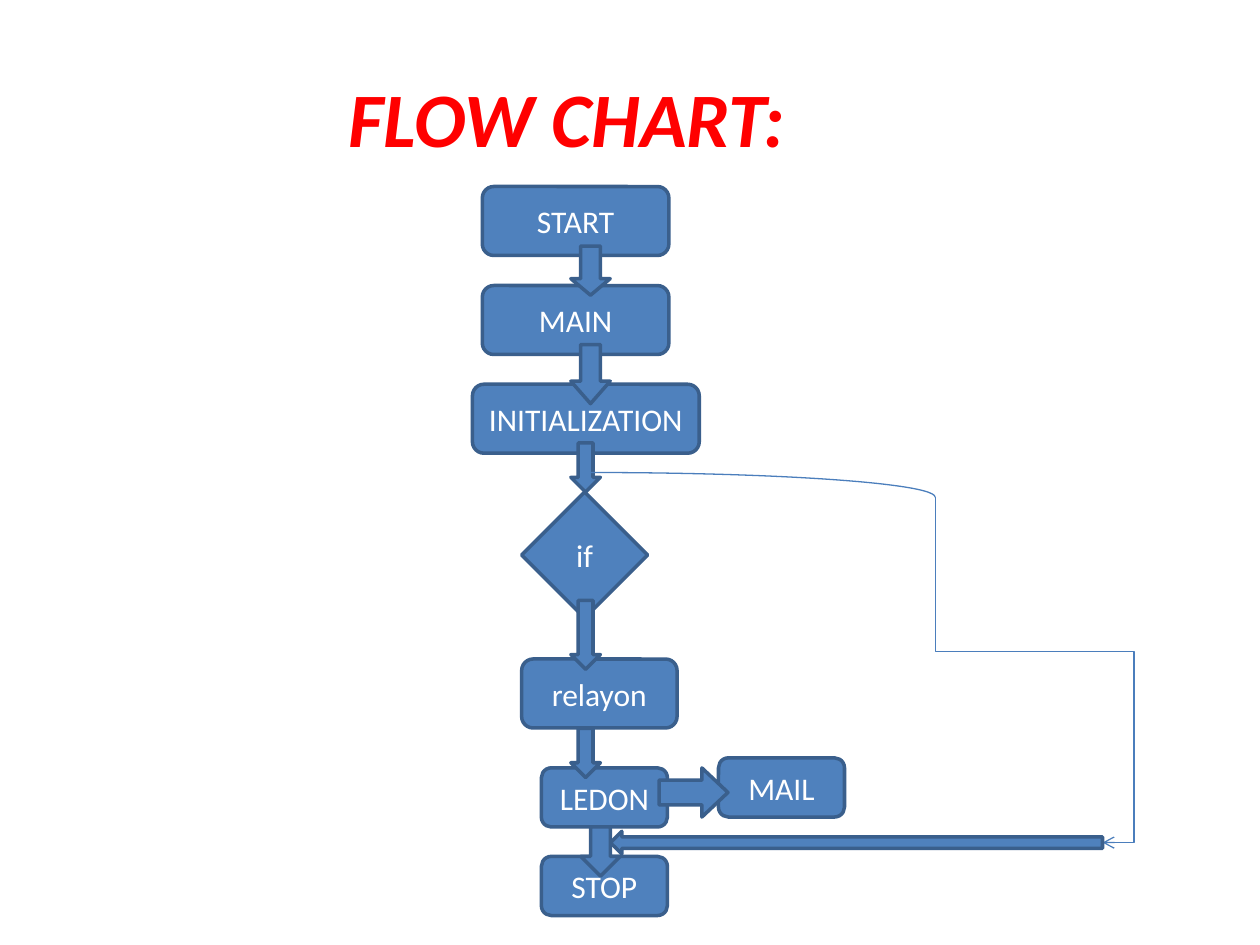
from pptx import Presentation
from pptx.dml.color import RGBColor
from pptx.enum.shapes import MSO_CONNECTOR, MSO_SHAPE as Shape
from pptx.enum.text import MSO_ANCHOR, PP_ALIGN
from pptx.oxml.ns import qn
from pptx.util import Pt
from lxml.etree import SubElement

FONT = "Calibri"
BLUE, EDGE, THIN = "4F81BD", "3A5F8C", "4B7EBC"
WHITE, RED = "FFFFFF", "FF0000"

# text, outline, left, top, width, height
STEPS = [
    ("START", Shape.ROUNDED_RECTANGLE, 275.6, 106.6, 106.6, 39.4),
    ("MAIN", Shape.ROUNDED_RECTANGLE, 275.6, 163.2, 106.6, 39.4),
    ("INITIALIZATION", Shape.ROUNDED_RECTANGLE, 270, 219.6, 129.6, 39.4),
    ("relayon", Shape.ROUNDED_RECTANGLE, 298.1, 376.6, 88.8, 39.4),
    ("if", Shape.DIAMOND, 298.1, 281.2, 72, 72),
    ("LEDON", Shape.ROUNDED_RECTANGLE, 309.4, 438.8, 72, 33.8),
    ("MAIL", Shape.ROUNDED_RECTANGLE, 410.6, 433.1, 72, 33.8),
    ("STOP", Shape.ROUNDED_RECTANGLE, 309.4, 489.4, 72, 33.8),
]

# outline, left, top, width, height, head length
ARROWS = [
    (Shape.DOWN_ARROW, 326.2, 140.6, 22.5, 28.1, 0.42),
    (Shape.DOWN_ARROW, 326.2, 196.9, 22.5, 33.8, 0.57),
    (Shape.DOWN_ARROW, 326.2, 253.1, 16.9, 28.1, 0.5),
    (Shape.DOWN_ARROW, 326.2, 343.1, 16.9, 39.4, 0.5),
    (Shape.DOWN_ARROW, 326.2, 416.2, 16.9, 28.1, 0.5),
    (Shape.DOWN_ARROW, 331.9, 472.5, 22.5, 28.1, 0.5),
    (Shape.RIGHT_ARROW, 376.6, 438.8, 39.4, 28.1, 0.53),
]


def color(value):
    """Turn a hex string into a colour."""
    return RGBColor.from_string(value)


def write(frame, text, size, hue, strong=False):
    """Put one centred run into a text frame."""
    frame.word_wrap = True
    frame.vertical_anchor = MSO_ANCHOR.MIDDLE
    paragraph = frame.paragraphs[0]
    paragraph.alignment = PP_ALIGN.CENTER
    run = paragraph.add_run()
    run.text = text
    font = run.font
    font.name, font.size = FONT, Pt(size)
    font.bold = font.italic = strong
    font.color.rgb = color(hue)


def stroke(item, hue, width):
    """Set the line of a shape or connector."""
    item.line.color.rgb = color(hue)
    item.line.width = Pt(width)


def add_block(slide, outline, *box):
    """Add a filled shape with a dark edge."""
    block = slide.shapes.add_shape(outline, *map(Pt, box))
    block.shadow.inherit = False
    block.fill.solid()
    block.fill.fore_color.rgb = color(BLUE)
    stroke(block, EDGE, 2)
    return block


def add_arrow(slide, outline, left, top, width, height, head=0.5):
    """Add a block arrow with the given head length."""
    arrow = add_block(slide, outline, left, top, width, height)
    arrow.adjustments[1] = head
    return arrow


def add_title(slide, text):
    """Place and format the slide title."""
    title = slide.shapes.title
    title.left, title.top, title.width, title.height = map(Pt, (0, 21.6, 648, 90))
    write(title.text_frame, text, 44, RED, strong=True)


def add_bypass(slide):
    """Draw the curved and bent line that goes round the condition."""
    left, top, right, bottom = 534.4, 284.1, 630, 481.5
    width, height = right - left, bottom - top
    mid_x, mid_y = (left + right) / 2, (top + bottom) / 2
    # The connector is turned by a quarter, so its box is laid sideways.
    bend = slide.shapes.add_connector(
        MSO_CONNECTOR.ELBOW,
        Pt(mid_x + height / 2), Pt(mid_y - width / 2),
        Pt(mid_x - height / 2), Pt(mid_y + width / 2))
    stroke(bend, THIN, 0.75)
    props = bend._element.spPr
    props.find(qn("a:xfrm")).set("rot", "16200000")
    geometry = props.find(qn("a:prstGeom"))
    geometry.set("prst", "bentConnector4")
    guides = geometry.find(qn("a:avLst"))
    if guides is None:
        guides = SubElement(geometry, qn("a:avLst"))
    for name, value in (("adj1", 44800), ("adj2", 118800)):
        SubElement(guides, qn("a:gd"), name=name, fmla=f"val {value}")
    SubElement(props.find(qn("a:ln")), qn("a:tailEnd"), type="arrow")
    SubElement(props, qn("a:effectLst"))

    curve = slide.shapes.add_shape(Shape.ARC, *map(Pt, (140.6, 270, 393.8, 28.1)))
    curve.shadow.inherit = False
    curve.fill.background()
    stroke(curve, THIN, 0.75)


def main():
    """Build the flow chart slide."""
    deck = Presentation()
    deck.slide_width, deck.slide_height = Pt(720), Pt(540)
    slide = deck.slides.add_slide(deck.slide_layouts[5])
    add_title(slide, "FLOW CHART:")
    for text, *step in STEPS:
        write(add_block(slide, *step).text_frame, text, 18, WHITE)
    for arrow in ARROWS:
        add_arrow(slide, *arrow)
    add_bypass(slide)
    add_arrow(slide, Shape.RIGHT_ARROW, 348.8, 475, 281.2, 13).rotation = 180
    deck.save("out.pptx")


main()
